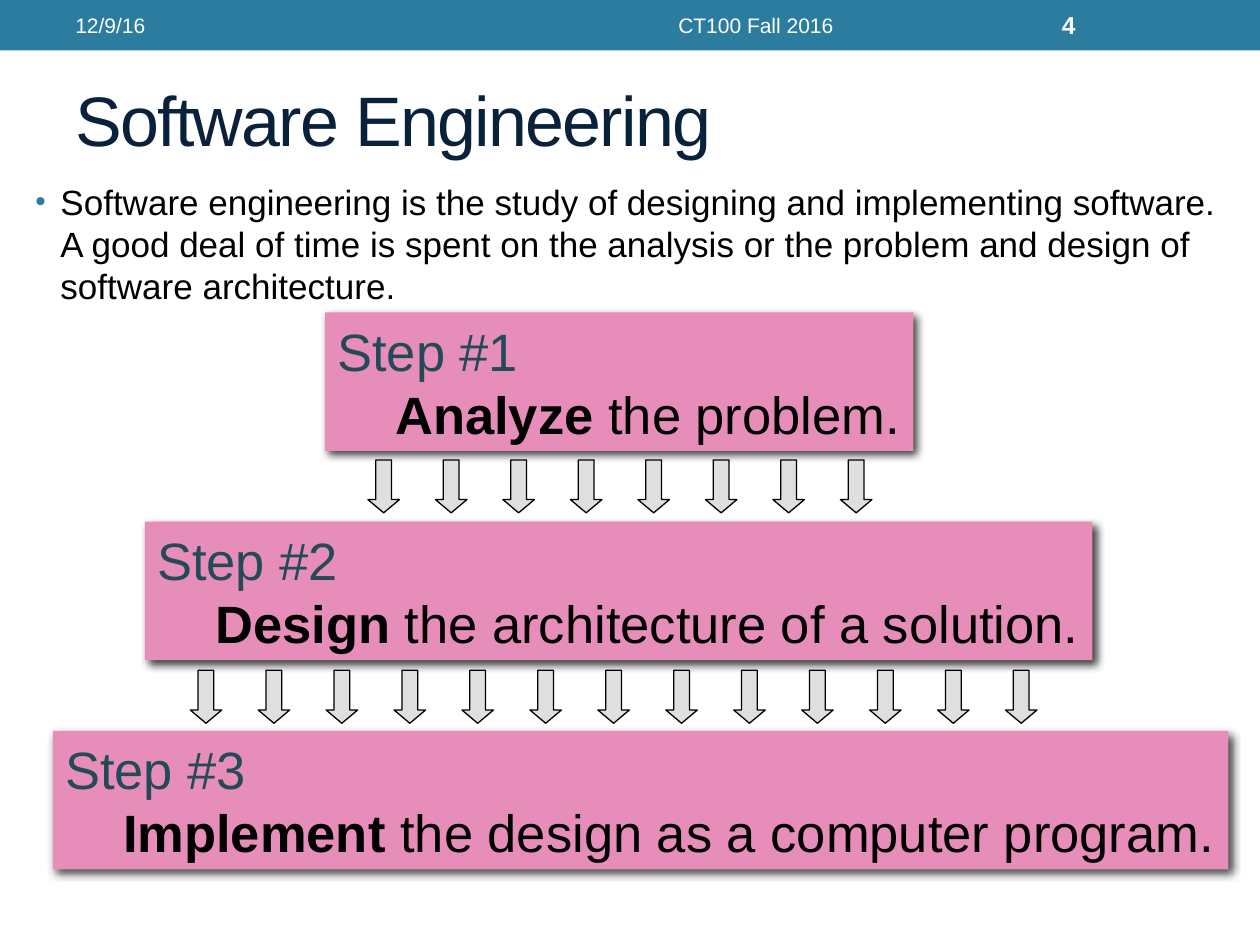
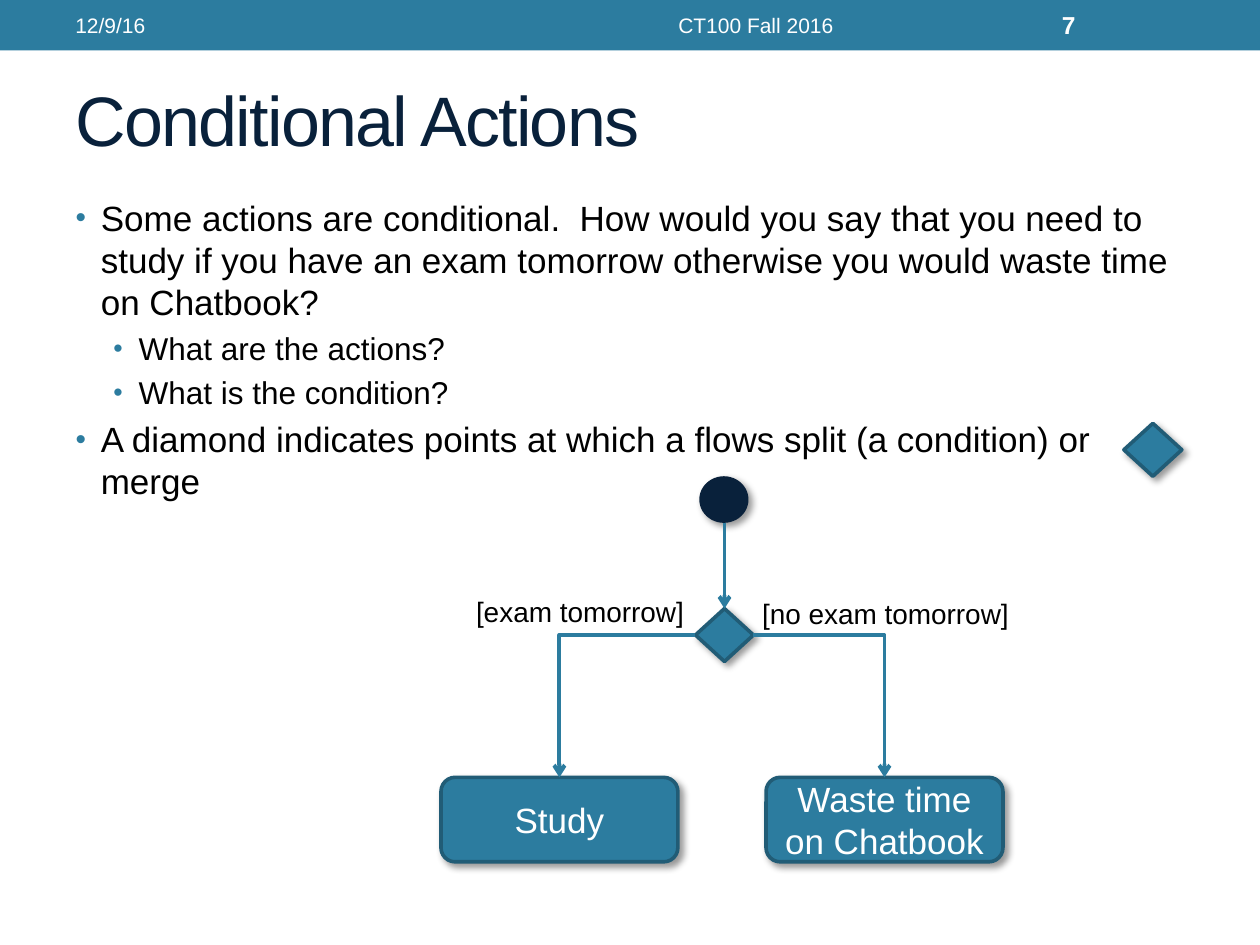
import pptx
import pptx.dml.color
import pptx.enum.shapes
import pptx.enum.text
import pptx.oxml
import pptx.oxml.ns
import pptx.util
from pptx.util import Inches

FONT = "Arial"
TEAL, DARK_TEAL, NAVY = "2C7C9F", "215C76", "09213B"
PINK, STEP_TEXT, GRAY = "E78DB9", "244A58", "DFDFDF"
BLACK, WHITE = "000000", "FFFFFF"

SHAPE = pptx.enum.shapes.MSO_SHAPE
CONNECTOR = pptx.enum.shapes.MSO_CONNECTOR
ALIGN = pptx.enum.text.PP_ALIGN
ANCHOR = pptx.enum.text.MSO_ANCHOR
AUTO_SIZE = pptx.enum.text.MSO_AUTO_SIZE
qn = pptx.oxml.ns.qn


def rgb(color):
    return pptx.dml.color.RGBColor.from_string(color)


def drawing_xml(xml):
    """Parse one element written with the a: prefix."""
    tag, rest = xml[:-2].partition(" ")[::2] if xml.endswith("/>") and "><" not in xml else (None, None)
    if tag:
        return pptx.oxml.parse_xml(f"{tag} {pptx.oxml.ns.nsdecls('a')} {rest}/>")
    head, tail = xml.split(" ", 1)
    return pptx.oxml.parse_xml(f"{head} {pptx.oxml.ns.nsdecls('a')} {tail}")


def box(left, top, width, height):
    return Inches(left), Inches(top), Inches(width), Inches(height)


class Deck:
    """Holds the shared style and the slide being filled."""

    def __init__(self):
        self.presentation = pptx.Presentation()
        self.presentation.slide_width = Inches(10)
        self.presentation.slide_height = Inches(7.5)
        self.slide = None

    def add_slide(self, title, number):
        layout = self.presentation.slide_layouts[1]
        self.slide = self.presentation.slides.add_slide(layout)
        self.shape(SHAPE.RECTANGLE, (0, 0, 10, 0.4), TEAL)
        self.title(title)
        self.text("12/9/16", (0.5, 0.02, 3.17, 0.36), 12, WHITE)
        self.text("CT100 Fall 2016", (3.75, 0.02, 4.5, 0.36), 12, WHITE, align=ALIGN.CENTER)
        self.text(number, (8.33, 0.02, 1.17, 0.36), 14, WHITE, bold=True)

    def format_runs(self, paragraph, size, color, bold=False):
        for run in paragraph.runs:
            run.font.name = FONT
            run.font.size = pptx.util.Pt(size)
            run.font.bold = bold
            run.font.color.rgb = rgb(color)

    def place(self, shape, area):
        shape.left, shape.top, shape.width, shape.height = box(*area)

    def title(self, text):
        title = self.slide.shapes.title
        self.place(title, (0.5, 0.4, 9, 1.08))
        frame = title.text_frame
        frame.text = text
        frame.auto_size = AUTO_SIZE.NONE
        frame.vertical_anchor = ANCHOR.MIDDLE
        frame.paragraphs[0].alignment = ALIGN.LEFT
        self.format_runs(frame.paragraphs[0], 40, NAVY)
        for properties in title.element.iter(qn("a:rPr")):
            properties.set("spc", "-100")

    def bullets(self, area, items):
        """Fill the body placeholder with (level, text) items."""
        body = self.slide.placeholders[1]
        self.place(body, area)
        frame = body.text_frame
        frame.text = "\n".join(text for _, text in items)
        frame.auto_size = AUTO_SIZE.NONE
        for paragraph, (level, _) in zip(frame.paragraphs, items):
            paragraph.level = level
            self.format_runs(paragraph, 20 - 2 * level, BLACK)
        for element, (level, _) in zip(body.element.iter(qn("a:p")), items):
            properties = element.get_or_add_pPr()
            properties.set("marL", str(Inches(0.2 + 0.3 * level)))
            properties.set("indent", str(Inches(-0.2)))
            for xml in (
                '<a:spcBef ><a:spcPct val="20000"/></a:spcBef>',
                f'<a:buClr ><a:srgbClr val="{TEAL}"/></a:buClr>',
                '<a:buSzPct val="85000"/>',
                f'<a:buFont typeface="{FONT}"/>',
                '<a:buChar char="•"/>',
            ):
                properties.append(drawing_xml(xml))

    def text(self, text, area, size, color, align=ALIGN.LEFT, bold=False, wrap=True):
        frame = self.slide.shapes.add_textbox(*box(*area)).text_frame
        frame.text = text
        frame.word_wrap = wrap
        frame.vertical_anchor = ANCHOR.MIDDLE
        frame.paragraphs[0].alignment = align
        self.format_runs(frame.paragraphs[0], size, color, bold)

    def shape(self, kind, area, fill, line=None, line_width=2.08):
        shape = self.slide.shapes.add_shape(kind, *box(*area))
        shape.shadow.inherit = False
        shape.fill.solid()
        shape.fill.fore_color.rgb = rgb(fill)
        if line:
            shape.line.color.rgb = rgb(line)
            shape.line.width = pptx.util.Pt(line_width)
        else:
            shape.line.fill.background()
        return shape

    def add_shadow(self, shape, opacity, blur):
        effects = next(shape.element.iter(qn("a:effectLst")))
        effects.append(drawing_xml(
            f'<a:outerShdw blurRad="{pptx.util.Pt(blur)}" dist="{pptx.util.Pt(3)}" '
            f'dir="2700000" algn="tl" rotWithShape="0"><a:srgbClr val="{BLACK}">'
            f'<a:alpha val="{opacity * 1000}"/></a:srgbClr></a:outerShdw>'))

    def step(self, number, verb, rest, area):
        step = self.shape(SHAPE.RECTANGLE, area, PINK)
        self.add_shadow(step, 75, 5)
        frame = step.text_frame
        frame.word_wrap = True
        frame.margin_right = 0
        frame.text = f"Step #{number}"
        heading, action = frame.paragraphs[0], frame.add_paragraph()
        self.format_runs(heading, 30, STEP_TEXT)
        action.text = f"{verb} "
        action.add_run().text = rest
        self.format_runs(action, 30, BLACK)
        action.runs[0].font.bold = True
        heading.alignment = action.alignment = ALIGN.LEFT
        last = list(step.element.iter(qn("a:p")))[-1]
        last.get_or_add_pPr().set("marL", str(Inches(0.46)))

    def arrow_row(self, first, last, top, count):
        gap = (last - first) / (count - 1)
        for index in range(count):
            arrow = self.shape(SHAPE.DOWN_ARROW, (first + index * gap, top, 0.25, 0.42),
                               GRAY, BLACK, 0.75)
            arrow.adjustments[1] = 0.42

    def node(self, kind, area, text="", fill=TEAL, line=DARK_TEAL):
        node = self.shape(kind, area, fill, line)
        self.add_shadow(node, 40, 4)
        if text:
            frame = node.text_frame
            frame.text = text
            frame.word_wrap = True
            frame.vertical_anchor = ANCHOR.MIDDLE
            frame.paragraphs[0].alignment = ALIGN.CENTER
            self.format_runs(frame.paragraphs[0], 20, WHITE)
        return node

    def flow(self, start, end, kind=CONNECTOR.STRAIGHT):
        """Draw an arrow between two (x, y) points in inches."""
        flow = self.slide.shapes.add_connector(kind, *box(*start, *end))
        flow.line.color.rgb = rgb(TEAL)
        flow.line.width = pptx.util.Pt(2.25)
        next(flow.element.iter(qn("a:ln"))).append(drawing_xml('<a:tailEnd type="arrow"/>'))
        flow.element.spPr.append(drawing_xml("<a:effectLst />"))
        return flow

    def branch(self, decision, side, action, start, end):
        """Run sideways out of the decision, then down into the action."""
        branch = self.flow(start, end, CONNECTOR.ELBOW)
        next(branch.element.iter(qn("a:prstGeom"))).set("prst", "bentConnector2")
        branch.begin_connect(decision, side)
        branch.end_connect(action, 0)


def software_engineering(deck):
    deck.add_slide("Software Engineering", "4")
    deck.bullets((0.18, 1.38, 9.76, 1.32), [
        (0, "Software engineering is the study of designing and implementing software.  "
            "A good deal of time is spent on the analysis or the problem and design of "
            "software architecture."),
    ])
    deck.step(1, "Analyze", "the problem.", (2.58, 2.48, 4.67, 1.1))
    deck.arrow_row(2.92, 6.67, 3.65, 8)
    deck.step(2, "Design", "the architecture of a solution.", (1.15, 4.14, 7.52, 1.1))
    deck.arrow_row(1.51, 7.98, 5.32, 13)
    deck.step(3, "Implement", "the design as a computer program.", (0.42, 5.8, 9.33, 1.1))


def conditional_actions(deck):
    deck.add_slide("Conditional Actions", "7")
    deck.bullets((0.5, 1.51, 9, 5.58), [
        (0, "Some actions are conditional.  How would you say that you need to study if you "
            "have an exam tomorrow otherwise you would waste time on Chatbook?"),
        (1, "What are the actions?"),
        (1, "What is the condition?"),
        (0, "A diamond indicates points at which a flows split (a condition) or merge"),
    ])
    deck.node(SHAPE.DIAMOND, (8.92, 3.36, 0.46, 0.42))
    waste = deck.node(SHAPE.ROUNDED_RECTANGLE, (6.08, 6.17, 1.88, 0.67), "Waste time on Chatbook")
    study = deck.node(SHAPE.ROUNDED_RECTANGLE, (3.5, 6.17, 1.88, 0.67), "Study")
    deck.node(SHAPE.OVAL, (5.55, 3.78, 0.39, 0.37), fill=NAVY, line=None)
    decision = deck.node(SHAPE.DIAMOND, (5.52, 4.83, 0.46, 0.42))
    deck.flow((5.75, 4.15), (5.75, 4.83)).end_connect(decision, 0)
    deck.branch(decision, 1, study, (5.52, 5.04), (4.44, 6.17))
    deck.branch(decision, 3, waste, (5.98, 5.04), (7.02, 6.17))
    deck.text("[exam tomorrow]", (3.68, 4.67, 1.87, 0.37), 16, BLACK, wrap=False)
    deck.text("[no exam tomorrow]", (5.95, 4.68, 2.18, 0.37), 16, BLACK, wrap=False)


def main():
    deck = Deck()
    software_engineering(deck)
    conditional_actions(deck)
    deck.presentation.save("out.pptx")


if __name__ == "__main__":
    main()
